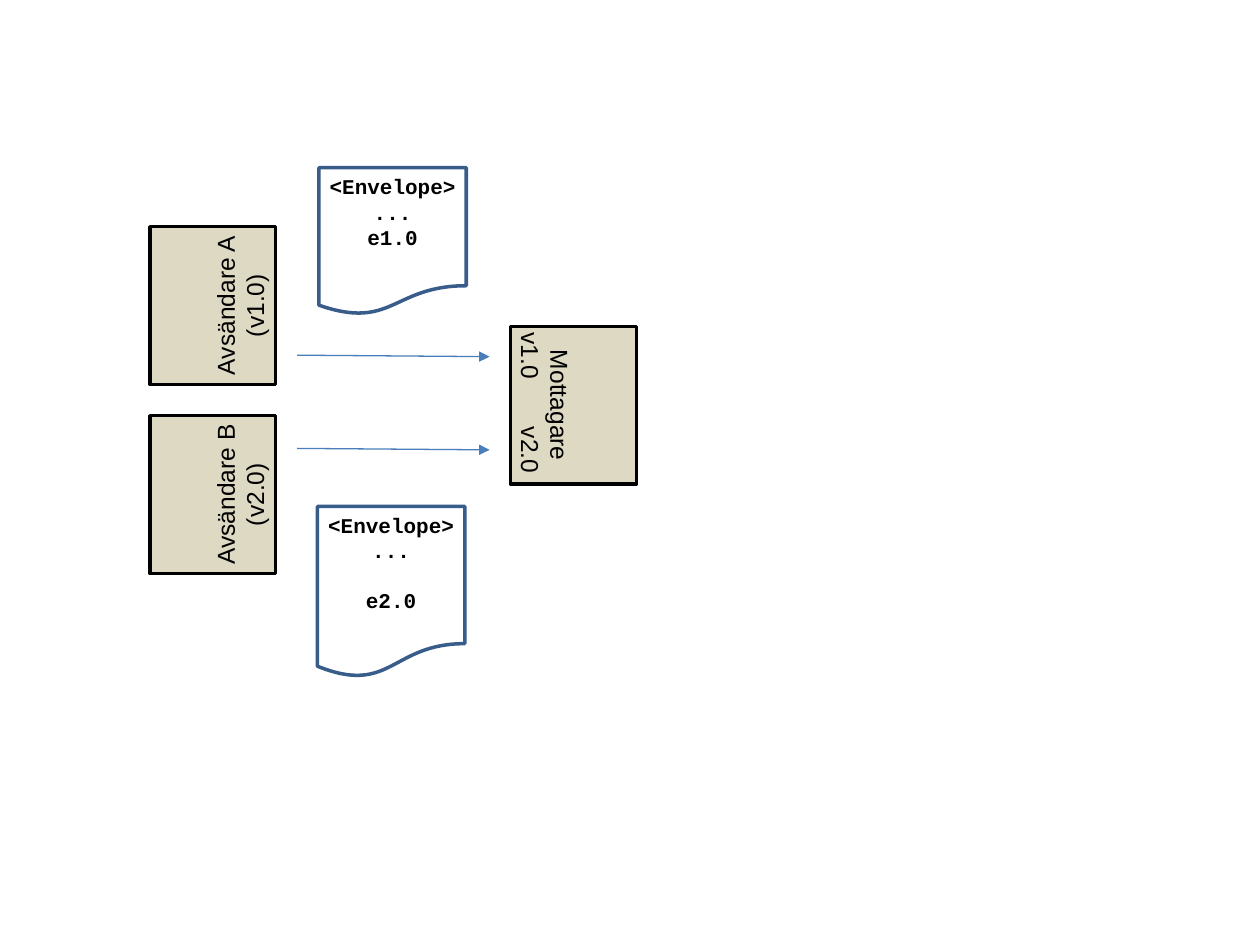
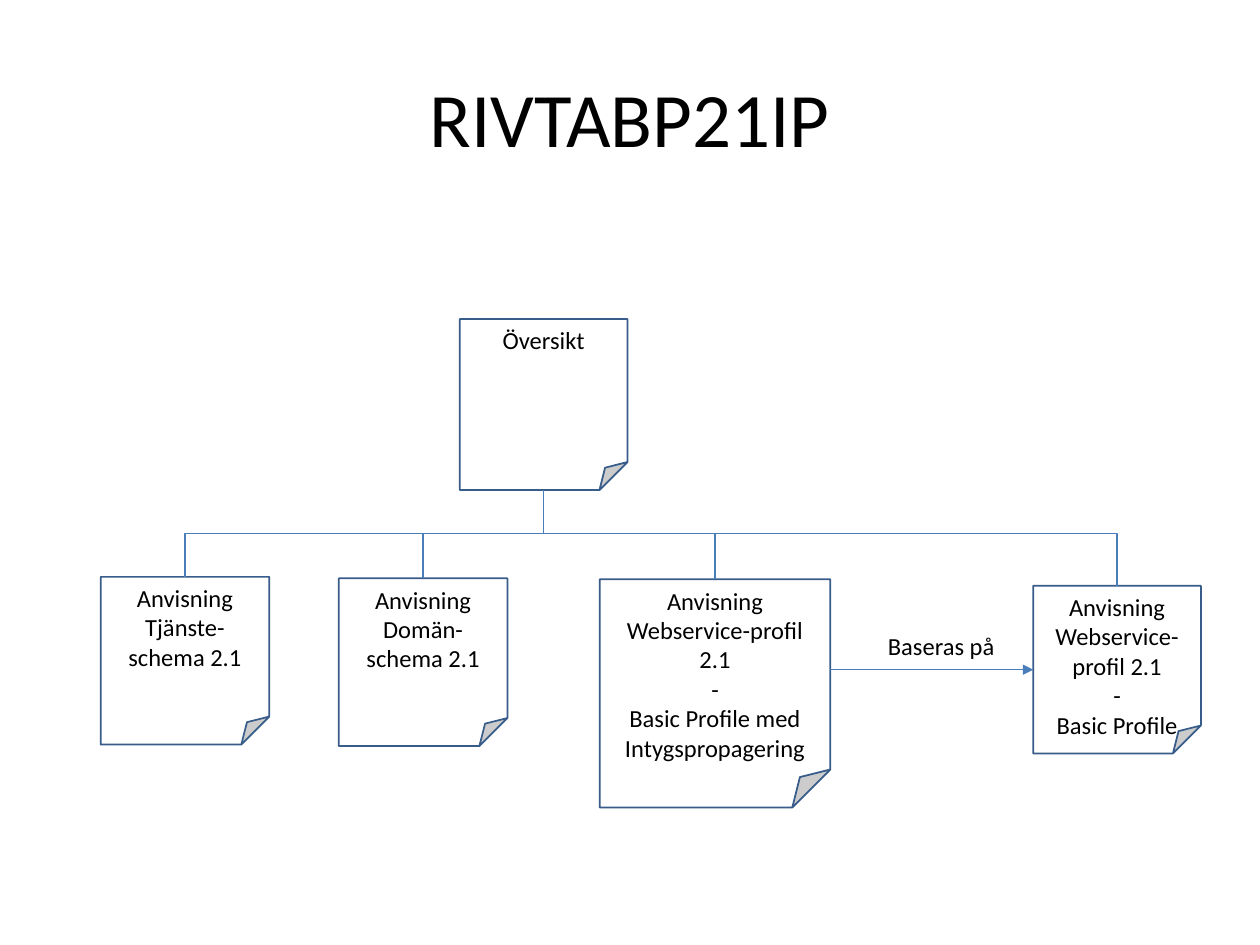
from dataclasses import dataclass

from lxml.etree import SubElement
from pptx import Presentation
from pptx.dml.color import RGBColor as RGB
from pptx.enum.shapes import MSO_CONNECTOR as CONN, MSO_SHAPE as SHAPE
from pptx.enum.text import MSO_ANCHOR as ANCHOR, PP_ALIGN as ALIGN
from pptx.oxml.ns import qn
from pptx.shapes.autoshape import Shape
from pptx.shapes.connector import Connector
from pptx.slide import Slide
from pptx.text.text import TextFrame
from pptx.util import Cm, Pt


@dataclass(frozen=True)
class Theme:
    ink: RGB = RGB(0x00, 0x00, 0x00)
    paper: RGB = RGB(0xFF, 0xFF, 0xFF)
    sand: RGB = RGB(0xDD, 0xD9, 0xC3)
    outline: RGB = RGB(0x38, 0x5D, 0x8A)
    link: RGB = RGB(0x4A, 0x7E, 0xBB)
    title_size: float = 44
    body_size: float = 14
    code_size: float = 12
    thick: float = 2
    thin: float = 1
    hairline: float = 0.75
    body_font: str = "Calibri"
    actor_font: str = "Arial"
    code_font: str = "Courier New"


THEME = Theme()


@dataclass(frozen=True)
class Box:
    """Position and size in centimetres."""
    x: float
    y: float
    w: float
    h: float


@dataclass(frozen=True)
class Actor:
    """A system box with a sideways label; label_dx is the label's centre."""
    x: float
    y: float
    lines: tuple[str, ...]
    rotation: int
    label_dx: float


@dataclass(frozen=True)
class Envelope:
    box: Box
    version: str
    gap: float = 0


@dataclass(frozen=True)
class Note:
    box: Box
    lines: tuple[str, ...]


# Content of slide 1
ENVELOPES = [
    Envelope(Box(6.43, 3.38, 2.97, 2.97), "e1.0"),
    Envelope(Box(6.4, 10.21, 2.97, 3.45), "e2.0", gap=14),
]
ACTORS = [
    Actor(10.29, 6.58, ("Mottagare", "v1.0\tv2.0"), 90, 0.7),
    Actor(3.02, 8.38, ("Avsändare B", "(v2.0)"), 270, 1.82),
    Actor(3.02, 4.57, ("Avsändare A", "(v1.0)"), 270, 1.82),
]
MESSAGE_YS = (7.16, 9.04)

# Content of slide 2
OVERVIEW = Note(Box(9.27, 6.43, 3.38, 3.45), ("Översikt",))
SERVICE_SCHEMA = Note(Box(2.03, 11.63, 3.4, 3.38),
                      ("Anvisning", "Tjänste-schema 2.1"))
DOMAIN_SCHEMA = Note(Box(6.83, 11.66, 3.4, 3.38),
                     ("Anvisning", "Domän-schema 2.1"))
EXTENDED_PROFILE = Note(Box(12.09, 11.68, 4.65, 4.6),
                        ("Anvisning Webservice-profil 2.1", "-",
                         "Basic Profile med", "Intygspropagering"))
BASIC_PROFILE = Note(Box(20.83, 11.81, 3.38, 3.38),
                     ("Anvisning Webservice-profil 2.1", "-", "Basic Profile"))
TRUNK_Y = 10.76


# Shared drawing helpers
def write(tf: TextFrame, lines: tuple[str, ...], font: str, size: float,
          bold: bool = False, align: ALIGN = ALIGN.CENTER) -> None:
    tf.word_wrap = True
    tf.text = "\n".join(lines)
    for p in tf.paragraphs:
        p.alignment = align
        for r in p.runs:
            r.font.name, r.font.size, r.font.bold = font, Pt(size), bold
            r.font.color.rgb = THEME.ink


def add_box(s: Slide, kind: SHAPE, box: Box, fill: RGB, line: RGB,
            width: float) -> Shape:
    sp = s.shapes.add_shape(kind, Cm(box.x), Cm(box.y), Cm(box.w), Cm(box.h))
    sp.shadow.inherit = False
    sp.fill.solid()
    sp.fill.fore_color.rgb = fill
    sp.line.color.rgb = line
    sp.line.width = Pt(width)
    return sp


def add_label(s: Slide, box: Box) -> Shape:
    return s.shapes.add_textbox(Cm(box.x), Cm(box.y), Cm(box.w), Cm(box.h))


def add_link(s: Slide, kind: CONN, x1: float, y1: float, x2: float, y2: float,
             arrow: bool = False) -> Connector:
    c = s.shapes.add_connector(kind, Cm(x1), Cm(y1), Cm(x2), Cm(y2))
    c.line.color.rgb = THEME.link
    c.line.width = Pt(THEME.hairline)
    if arrow:
        SubElement(c.line._get_or_add_ln(), qn("a:tailEnd"), type="triangle")
    SubElement(c._element.spPr, qn("a:effectLst"))
    return c


# Slide 1 parts
def add_envelope(s: Slide, envelope: Envelope) -> None:
    box = envelope.box
    tf = add_label(s, Box(box.x - 0.74, box.y, 4.45, box.h - 0.17)).text_frame
    write(tf, ("<Envelope>", "...", envelope.version), THEME.code_font,
          THEME.code_size, bold=True)
    if envelope.gap:
        tf.paragraphs[-1].space_before = Pt(envelope.gap)


def add_actor(s: Slide, actor: Actor) -> None:
    w, h, label_w, label_h = 2.54, 3.18, 3.33, 1.45
    add_box(s, SHAPE.RECTANGLE, Box(actor.x, actor.y, w, h),
            THEME.sand, THEME.ink, THEME.thick)
    label = add_label(s, Box(actor.x + actor.label_dx - label_w / 2,
                             actor.y + (h - label_h) / 2, label_w, label_h))
    label.rotation = actor.rotation
    tf = label.text_frame
    tf.margin_left = tf.margin_right = Cm(0.2)
    write(tf, actor.lines, THEME.actor_font, THEME.body_size)
    for p in tf.paragraphs:
        if "\t" in p.text:
            p.alignment = ALIGN.LEFT
            tabs = SubElement(p._p.get_or_add_pPr(), qn("a:tabLst"))
            SubElement(tabs, qn("a:tab"), pos=str(Cm(1.9)), algn="l")


def build_versions(s: Slide) -> None:
    for envelope in ENVELOPES:
        add_box(s, SHAPE.FLOWCHART_DOCUMENT, envelope.box,
                THEME.paper, THEME.outline, THEME.thick)
    for envelope in ENVELOPES:
        add_envelope(s, envelope)
    for actor in ACTORS:
        add_actor(s, actor)
    for y in MESSAGE_YS:
        add_link(s, CONN.STRAIGHT, 5.99, y, 9.87, y + 0.03, arrow=True)


# Slide 2 parts
def add_note(s: Slide, note: Note) -> Shape:
    sp = add_box(s, SHAPE.FOLDED_CORNER, note.box,
                 THEME.paper, THEME.outline, THEME.thin)
    sp.text_frame.vertical_anchor = ANCHOR.TOP
    write(sp.text_frame, note.lines, THEME.body_font, THEME.body_size)
    return sp


def add_branch(s: Slide, parent: Shape, child: Shape) -> None:
    """Elbow that leaves downwards, runs along the trunk and goes down."""
    c = add_link(s, CONN.ELBOW, 0, 0, 1, 1)
    c.begin_connect(parent, 2)
    c.end_connect(child, 0)
    x1, y1, x2, y2 = c.begin_x, c.begin_y, c.end_x, c.end_y
    drop, run = y2 - y1, abs(x2 - x1)
    c.left, c.top = (x1 + x2 - drop) // 2, (y1 + y2 - run) // 2
    c.width, c.height = drop, run
    to_left = x2 < x1
    spPr = c._element.spPr
    xfrm = spPr.find(qn("a:xfrm"))
    xfrm.set("rot", str((90 if to_left else 270) * 60000))
    xfrm.set("flipH", "0" if to_left else "1")
    xfrm.set("flipV", "0")
    bend = round((Cm(TRUNK_Y) - y1) / drop * 100000)
    guides = spPr.find(qn("a:prstGeom")).get_or_add_avLst()
    SubElement(guides, qn("a:gd"), name="adj1", fmla=f"val {bend}")


def build_overview(s: Slide) -> None:
    title = add_label(s, Box(1.27, 0.76, 22.86, 3.18)).text_frame
    title.vertical_anchor = ANCHOR.MIDDLE
    write(title, ("RIVTABP21IP",), THEME.body_font, THEME.title_size)

    overview = add_note(s, OVERVIEW)
    children = [add_note(s, note) for note in
                (EXTENDED_PROFILE, SERVICE_SCHEMA, BASIC_PROFILE, DOMAIN_SCHEMA)]
    for child in children:
        add_branch(s, overview, child)

    # The extended profile is based on the basic one
    source, target = EXTENDED_PROFILE.box, BASIC_PROFILE.box
    y = target.y + target.h / 2
    arrow = add_link(s, CONN.STRAIGHT, source.x + source.w, y, target.x, y,
                     arrow=True)
    arrow.end_connect(children[2], 1)
    write(add_label(s, Box(17.65, 12.6, 3.43, 0.86)).text_frame,
          ("Baseras på",), THEME.body_font, THEME.body_size, align=ALIGN.LEFT)


def main() -> None:
    prs = Presentation()
    prs.slide_width, prs.slide_height = Cm(25.4), Cm(19.05)
    for build in (build_versions, build_overview):
        build(prs.slides.add_slide(prs.slide_layouts[6]))
    prs.save("out.pptx")


if __name__ == "__main__":
    main()
